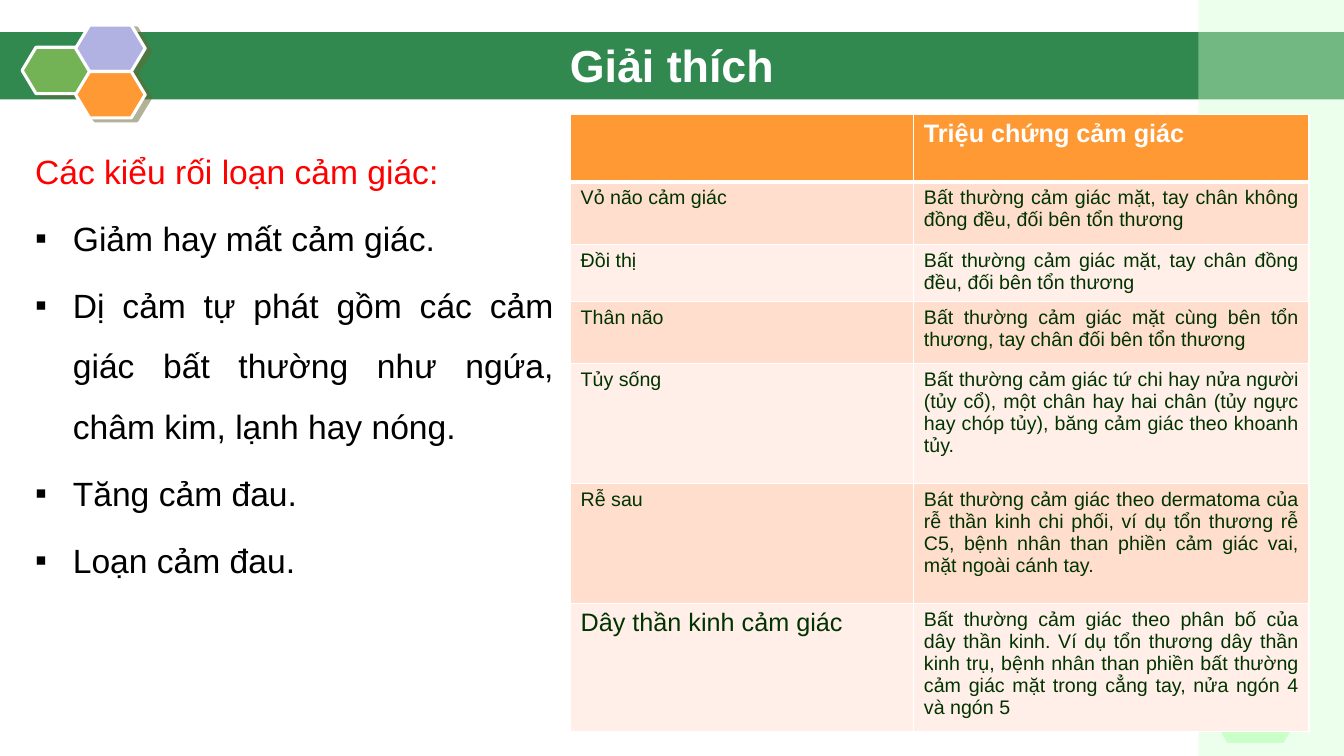
"""Build the slide on types of sensory disorder and their symptoms by lesion site."""
from lxml import etree
from pptx import Presentation
from pptx.dml.color import RGBColor
from pptx.enum.shapes import MSO_SHAPE
from pptx.enum.text import MSO_ANCHOR, PP_ALIGN
from pptx.oxml.ns import qn
from pptx.util import Pt

RECTANGLE, HEXAGON = MSO_SHAPE.RECTANGLE, MSO_SHAPE.HEXAGON
CENTER, JUSTIFY, LEFT = PP_ALIGN.CENTER, PP_ALIGN.JUSTIFY, PP_ALIGN.LEFT
TOP, MIDDLE = MSO_ANCHOR.TOP, MSO_ANCHOR.MIDDLE
FONT = "Arial"
COLORS = {
    "band": "31894F", "green": "74B355", "lilac": "B1B2E1", "orange": "FF9933",
    "shade": "666633", "strip": "D1FFD1", "pale_hexagon": "8CFF8C",
    "white": "FFFFFF", "black": "000000", "red": "FF0000", "ink": "003300",
    "row_dark": "FFDECE", "row_light": "FFEFE8",
}
HEADING = "Các kiểu rối loạn cảm giác:"
DISORDERS = [
    "Giảm hay mất cảm giác.",
    "Dị cảm tự phát gồm các cảm giác bất thường như ngứa, châm kim, lạnh hay nóng.",
    "Tăng cảm đau.",
    "Loạn cảm đau.",
]
SYMPTOMS = [
    ("", "Triệu chứng cảm giác"),
    ("Vỏ não cảm giác",
     "Bất thường cảm giác mặt, tay chân không đồng đều, đối bên tổn thương"),
    ("Đồi thị", "Bất thường cảm giác mặt, tay chân đồng đều, đối bên tổn thương"),
    ("Thân não",
     "Bất thường cảm giác mặt cùng bên tổn thương, tay chân đối bên tổn thương"),
    ("Tủy sống",
     "Bất thường cảm giác tứ chi hay nửa người (tủy cổ), một chân hay hai chân "
     "(tủy ngực hay chóp tủy), băng cảm giác theo khoanh tủy."),
    ("Rễ sau",
     "Bát thường cảm giác theo dermatoma của rễ thần kinh chi phối, ví dụ tổn thương "
     "rễ C5, bệnh nhân than phiền cảm giác vai, mặt ngoài cánh tay."),
    ("Dây thần kinh cảm giác",
     "Bất thường cảm giác theo phân bố của dây thần kinh. Ví dụ tổn thương dây thần "
     "kinh trụ, bệnh nhân than phiền bất thường cảm giác mặt trong cẳng tay, nửa ngón 4 "
     "và ngón 5"),
]
COLUMN_WIDTHS = [245.2, 282.2]
ROW_HEIGHTS = [48, 44.6, 39.6, 44.2, 85.8, 85.8, 86.4]


def rgb(name):
    return RGBColor.from_string(COLORS[name])


def add_color(parent, name, opacity=None):
    color = etree.SubElement(parent, qn("a:srgbClr"), val=COLORS[name])
    if opacity is not None:
        etree.SubElement(color, qn("a:alpha"), val=str(opacity * 1000))


def add_block(slide, kind, left, top, width, height, color, opacity=100):
    block = slide.shapes.add_shape(kind, Pt(left), Pt(top), Pt(width), Pt(height))
    block.shadow.inherit = False
    block.fill.solid()
    block.fill.fore_color.rgb = rgb(color)
    block.line.fill.background()
    if opacity < 100:
        tint = block.fill._xPr.find(qn("a:solidFill"))[0]
        etree.SubElement(tint, qn("a:alpha"), val=str(opacity * 1000))
    return block


def add_emblem_hexagon(slide, left, top, color):
    hexagon = add_block(slide, HEXAGON, left, top, 49.7, 33.1, color)
    hexagon.adjustments[0] = 0.3
    hexagon.line.color.rgb = rgb("white")
    hexagon.line.width = Pt(2.25)
    effects = hexagon._element.spPr.find(qn("a:effectLst"))
    shade = etree.SubElement(effects, qn("a:outerShdw"), blurRad="0",
                             dist=str(Pt(4.5)), dir=str(27 * 60000),
                             algn="ctr", rotWithShape="0")
    add_color(shade, "shade", 50)


def add_pale_hexagon(slide, left, top):
    hexagon = add_block(slide, HEXAGON, left, top, 64.1, 41.8, "pale_hexagon", 35)
    hexagon.adjustments[0] = 0.286


def add_text_frame(slide, left, top, width, height, anchor):
    frame = slide.shapes.add_textbox(Pt(left), Pt(top), Pt(width), Pt(height)).text_frame
    frame.word_wrap = True
    frame.vertical_anchor = anchor
    return frame


def write(paragraph, text, size, color, align, bold=False):
    paragraph.text = text
    paragraph.alignment = align
    for run in paragraph.runs:
        run.font.name = FONT
        run.font.size = Pt(size)
        run.font.bold = bold
        run.font.color.rgb = rgb(color)


def add_bullet(paragraph):
    properties = paragraph._p.get_or_add_pPr()
    properties.set("marL", str(Pt(27)))
    properties.set("indent", str(-Pt(27)))
    etree.SubElement(properties, qn("a:buFont"), typeface=FONT)
    etree.SubElement(properties, qn("a:buChar"), char="▪")
    paragraph.line_spacing = 1.5
    paragraph.space_before = Pt(4.8)


def add_disorders(slide):
    frame = add_text_frame(slide, 18, 104, 384.5, 421, TOP)
    write(frame.paragraphs[0], HEADING, 24, "red", JUSTIFY)
    for disorder in DISORDERS:
        paragraph = frame.add_paragraph()
        add_bullet(paragraph)
        write(paragraph, disorder, 24, "black", JUSTIFY)


def set_borders(cell, bottom_width):
    properties = cell._tc.get_or_add_tcPr()
    widths = {"a:lnL": 1, "a:lnR": 1, "a:lnT": 1, "a:lnB": bottom_width}
    for position, (side, width) in enumerate(widths.items()):
        border = etree.Element(qn(side), w=str(Pt(width)))
        add_color(etree.SubElement(border, qn("a:solidFill")), "white")
        properties.insert(position, border)


def add_symptoms(slide):
    table = slide.shapes.add_table(
        len(SYMPTOMS), len(COLUMN_WIDTHS), Pt(407.6), Pt(82),
        Pt(sum(COLUMN_WIDTHS)), Pt(sum(ROW_HEIGHTS))).table
    table.first_row = table.horz_banding = False
    for column, width in zip(table.columns, COLUMN_WIDTHS):
        column.width = Pt(width)
    for row, height in zip(table.rows, ROW_HEIGHTS):
        row.height = Pt(height)
    last = len(SYMPTOMS) - 1
    for r, entries in enumerate(SYMPTOMS):
        header = r == 0
        fill = "orange" if header else "row_dark" if r % 2 else "row_light"
        for c, text in enumerate(entries):
            cell = table.cell(r, c)
            cell.fill.solid()
            cell.fill.fore_color.rgb = rgb(fill)
            set_borders(cell, 3 if header else 1)
            size = 18 if header or (r, c) == (last, 0) else 14
            align = JUSTIFY if c and not header else LEFT
            write(cell.text_frame.paragraphs[0], text, size,
                  "white" if header else "ink", align, header)


def main():
    deck = Presentation()
    deck.slide_width, deck.slide_height = Pt(960), Pt(540)
    slide = deck.slides.add_slide(deck.slide_layouts[6])
    add_block(slide, RECTANGLE, 0, 23, 960, 48, "band")
    for left, top, color in [(15.8, 33.8, "green"), (54, 18, "lilac"), (54, 51.1, "orange")]:
        add_emblem_hexagon(slide, left, top, color)
    add_block(slide, RECTANGLE, 856, 0, 104, 540, "strip", 40)
    for left, top in [(807.8, 467.3), (864, 444.2), (864.7, 488.9)]:
        add_pale_hexagon(slide, left, top)
    title = add_text_frame(slide, 80, 12.2, 800, 68.4, MIDDLE)
    write(title.paragraphs[0], "Giải thích", 32, "white", CENTER, True)
    add_disorders(slide)
    add_symptoms(slide)
    deck.save("out.pptx")


if __name__ == "__main__":
    main()
